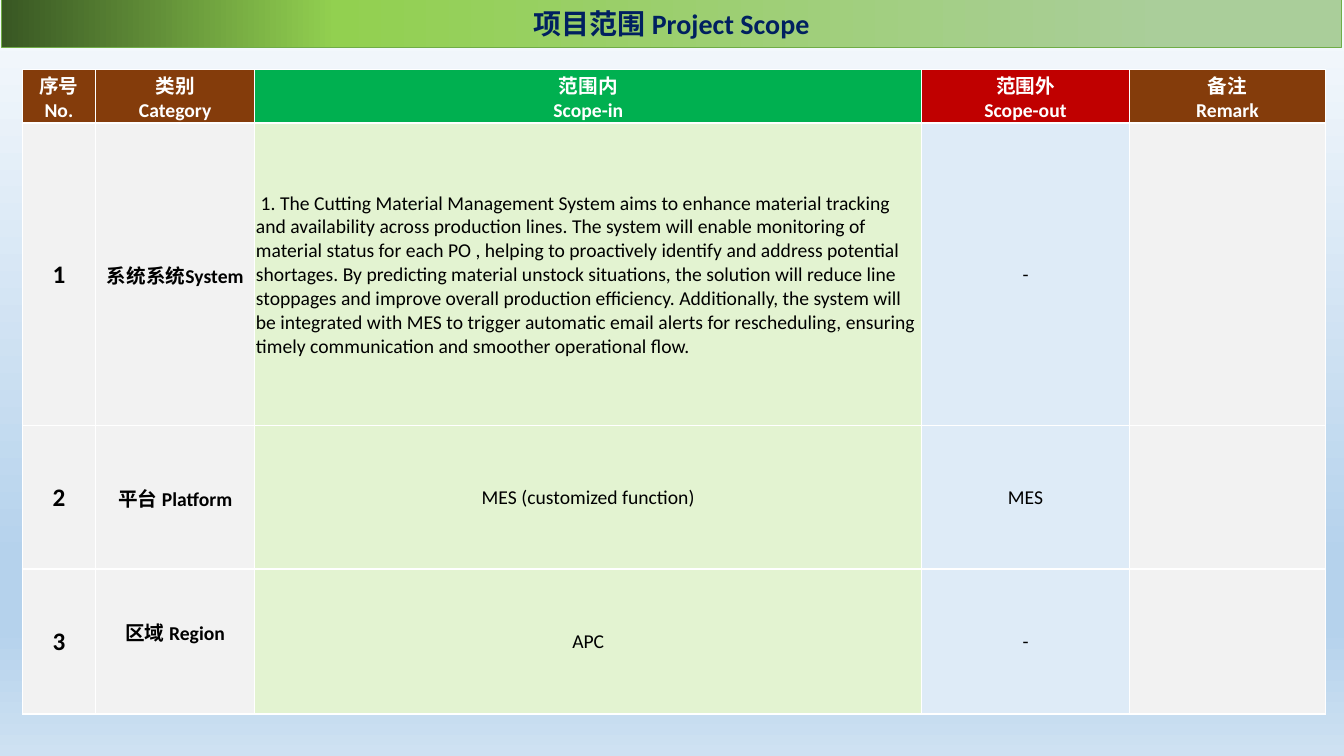
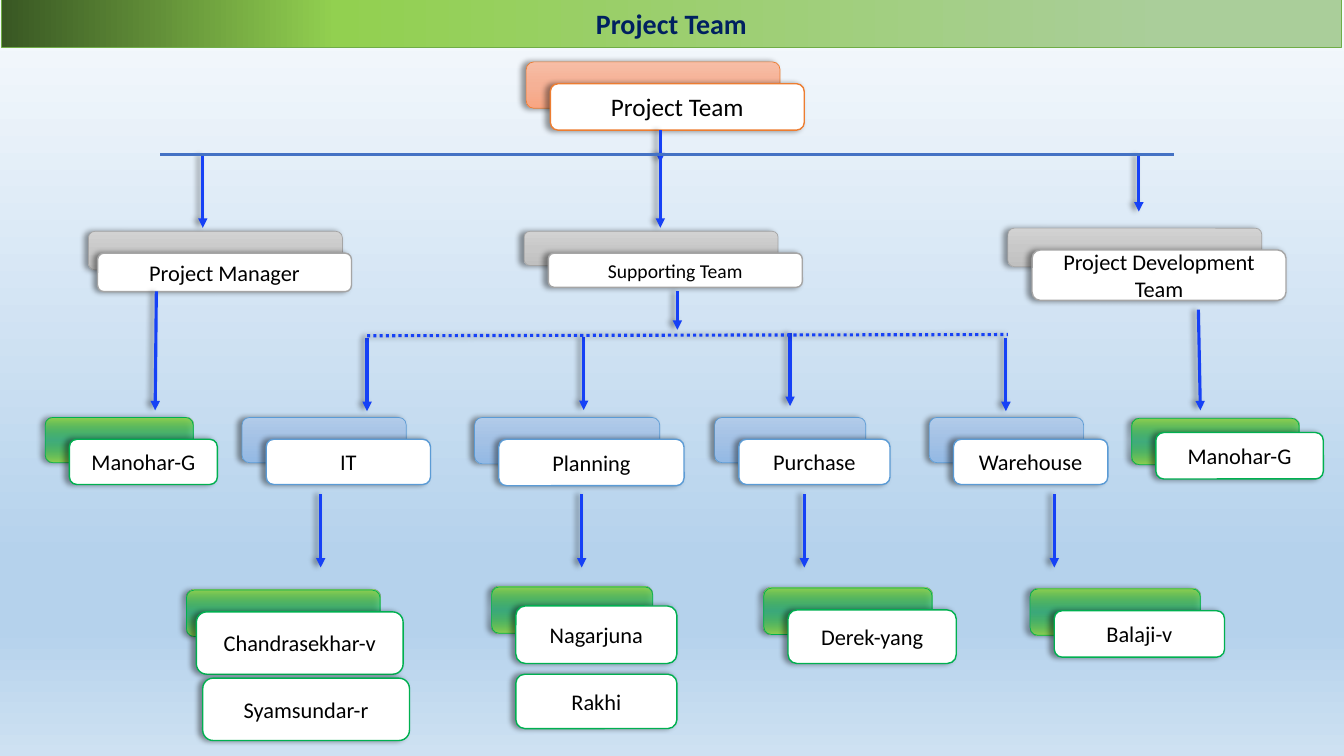
"""Build the project scope table and the project team chart."""
from dataclasses import dataclass

from lxml.etree import SubElement
from pptx import Presentation
from pptx.enum.dml import MSO_LINE
from pptx.enum.shapes import MSO_CONNECTOR, MSO_SHAPE
from pptx.enum.text import MSO_ANCHOR, PP_ALIGN
from pptx.dml.color import RGBColor
from pptx.oxml.ns import qn
from pptx.util import Cm, Pt

FONT = "Calibri"
BLACK, WHITE, NAVY = "000000", "FFFFFF", "002060"
ARROW_BLUE, BAR_BLUE = "1641F6", "4472C4"
BROWN, GREEN, RED = "843C0B", "00B050", "C00000"
GREY_CELL, GREEN_CELL, BLUE_CELL = "F2F2F2", "E3F3D1", "DEEBF7"
PAGE_STOPS = [(0, "F7FAFD"), (74, "B5D2EC"), (83, "B5D2EC"), (100, "CEE1F2")]
BAND_STOPS = [(13, "AACE9A"), (75, "92D050"), (100, "385723")]
PALETTES = {
    "orange": ("ED7D31", [(0, "F7BDA5"), (50, "F5B196"), (100, "F8A582")]),
    "grey": ("A5A5A5", [(0, "D2D2D2"), (50, "C8C8C8"), (100, "C0C0C0")]),
    "blue": ("5B9BD5", [(0, "B1CBE9"), (50, "A3C1E5"), (100, "93B9E4")]),
    "green": (GREEN, [(0, "92D050"), (50, GREEN, 56), (100, "92D050")]),
}

SCOPE_TEXT = (
    "1. The Cutting Material Management System aims to enhance material tracking and "
    "availability across production lines. The system will enable monitoring of material "
    "status for each PO , helping to proactively identify and address potential shortages. "
    "By predicting material unstock situations, the solution will reduce line stoppages and "
    "improve overall production efficiency. Additionally, the system will be integrated with "
    "MES to trigger automatic email alerts for rescheduling, ensuring timely communication "
    "and smoother operational flow."
)
SCOPE_ROWS = [
    ["序号\nNo.", "类别\nCategory", "范围内\nScope-in", "范围外\nScope-out", "备注\nRemark"],
    ["1", "系统系统System", SCOPE_TEXT, "-", ""],
    ["2", "平台 Platform", "MES (customized function)", "MES", ""],
    ["3", "区域 Region", "APC", "-", ""],
]
COLUMN_WIDTHS = [1.85, 4.01, 16.81, 5.23, 4.95]
ROW_HEIGHTS = [1.3, 7.62, 3.61, 3.66]
HEADER_FILLS = [BROWN, BROWN, GREEN, RED, BROWN]
BODY_FILLS = [GREY_CELL, GREY_CELL, GREEN_CELL, BLUE_CELL, GREY_CELL]


@dataclass
class Card:
    """A labelled box in cm, with the offset and size of the plate behind it."""
    label: str
    palette: str
    left: float
    top: float
    width: float
    height: float
    shift: tuple = (0.61, 0.55)
    plate: tuple = None
    size: int = 16


CARDS = [
    Card("Project Team", "orange", 13.87, 2.11, 6.4, 1.17, size=18),
    Card("Project Manager", "grey", 2.46, 6.38, 6.4, 0.97, shift=(0.23, 0.55)),
    Card("Supporting Team", "grey", 13.82, 6.38, 6.4, 0.86, size=14),
    Card("Project Development Team", "grey", 26.01, 6.3, 6.4, 1.27, plate=(6.4, 0.97)),
    Card("Manohar-G", "green", 1.75, 11.07, 3.73, 1.14),
    Card("IT", "blue", 6.71, 11.07, 4.14, 1.14),
    Card("Planning", "blue", 12.57, 11.07, 4.67, 1.17),
    Card("Purchase", "blue", 18.62, 11.07, 3.81, 1.14),
    Card("Warehouse", "blue", 24.03, 11.07, 3.89, 1.14),
    Card("Manohar-G", "green", 29.13, 10.9, 4.22, 1.17, shift=(0.61, 0.36)),
    Card("Chandrasekhar-v", "green", 4.95, 15.42, 5.21, 1.57, (0.25, 0.55), (4.88, 1.17)),
    Card("Nagarjuna", "green", 13, 15.27, 4.06, 1.45, (0.61, 0.48), (4.06, 1.17)),
    Card("Derek-yang", "green", 19.86, 15.37, 4.24, 1.35, plate=(4.24, 1.17)),
    Card("Balaji-v", "green", 26.57, 15.39, 4.29, 1.17),
    Card("Rakhi", "green", 13, 16.99, 4.06, 1.37, shift=None),
    Card("Syamsundar-r", "green", 5.11, 17.09, 5.21, 1.57, shift=None),
]
TEAM_ARROWS = [(5.11, 5.74), (16.64, 5.74), (28.7, 5.33)]
DEPARTMENT_ARROWS = [(9.25, 8.51), (14.71, 8.48), (19.91, 8.38), (25.35, 8.51)]
STAFF_ARROWS = [8.08, 14.66, 20.27, 26.57]
SINGLE_ARROWS = [
    (16.64, 3.28, 16.64, 4.09),
    (3.94, 7.34, 3.91, 10.34),
    (30.2, 7.8, 30.25, 10.34),
    (17.07, 7.34, 17.07, 8.31),
]


def paint(fill, color):
    """Give a shape, line, cell or font fill one solid colour."""
    fill.solid()
    fill.fore_color.rgb = RGBColor.from_string(color)


def paint_gradient(fill, element, stops, angle):
    """Give a fill a linear gradient of (position, colour, optional alpha) stops."""
    fill.gradient()
    gradient = next(element.iter(qn("a:gradFill")))
    stop_list = gradient.find(qn("a:gsLst"))
    for stop in list(stop_list):
        stop_list.remove(stop)
    for position, color, *alpha in stops:
        stop = SubElement(stop_list, qn("a:gs"), pos=str(position * 1000))
        tint = SubElement(stop, qn("a:srgbClr"), val=color)
        for value in alpha:
            SubElement(tint, qn("a:alpha"), val=str(value * 1000))
    gradient.find(qn("a:lin")).set("ang", str(angle * 60000))


def add_effects(shape, shadow=True):
    """Replace the inherited effects, with a soft shadow to the left or none."""
    effects = SubElement(shape.element.spPr, qn("a:effectLst"))
    if shadow:
        outer = SubElement(effects, qn("a:outerShdw"), blurRad=str(Pt(4)), dist=str(Pt(3)),
                           dir=str(180 * 60000), algn="r", rotWithShape="0")
        black = SubElement(outer, qn("a:srgbClr"), val=BLACK)
        SubElement(black, qn("a:alpha"), val="40000")


def write(frame, text, size, color, bold=False, align=PP_ALIGN.CENTER):
    """Fill a text frame and format all its runs alike."""
    frame.text = text
    for para in frame.paragraphs:
        para.alignment = align
        for span in para.runs:
            span.font.name = FONT
            span.font.size = Pt(size)
            span.font.bold = bold
            paint(span.font.fill, color)


def add_page(deck, heading):
    """Add a slide with the shared background and title band."""
    page = deck.slides.add_slide(deck.slide_layouts[5])
    paint_gradient(page.background.fill, page.element, PAGE_STOPS, 90)
    band = page.shapes.title
    band.left, band.top, band.width, band.height = Cm(0.03), Cm(-0.03), Cm(33.78), Cm(1.22)
    paint_gradient(band.fill, band.element, BAND_STOPS, 180)
    paint(band.line.fill, "70AD47")
    band.line.width = Pt(0.5)
    write(band.text_frame, heading, 20, NAVY, bold=True)
    band.text_frame.vertical_anchor = MSO_ANCHOR.MIDDLE
    return page


def format_cell(cell, text, fill, size, color, bold):
    """Set the borders, fill, margins and text of one table cell."""
    properties = cell._tc.get_or_add_tcPr()
    for side, width in (("L", 1), ("R", 1), ("T", 1.5), ("B", 1.5)):
        border = SubElement(properties, qn(f"a:ln{side}"), w=str(Pt(width)))
        SubElement(SubElement(border, qn("a:solidFill")), qn("a:srgbClr"), val=WHITE)
    paint(cell.fill, fill)
    cell.margin_left = cell.margin_right = cell.margin_top = Cm(0.03)
    cell.margin_bottom = 0
    cell.vertical_anchor = MSO_ANCHOR.MIDDLE
    write(cell.text_frame, text, size, color, bold)


def add_scope_table(page, left, top):
    """Place the scope table with its upper left corner at the given point in cm."""
    frame = page.shapes.add_table(
        len(ROW_HEIGHTS), len(COLUMN_WIDTHS), Cm(left), Cm(top),
        Cm(sum(COLUMN_WIDTHS)), Cm(sum(ROW_HEIGHTS)))
    table = frame.table
    for column, width in zip(table.columns, COLUMN_WIDTHS):
        column.width = Cm(width)
    for row, height in zip(table.rows, ROW_HEIGHTS):
        row.height = Cm(height)
    for i, texts in enumerate(SCOPE_ROWS):
        fills = BODY_FILLS if i else HEADER_FILLS
        for j, (text, fill) in enumerate(zip(texts, fills)):
            size = 18 if i and j == 0 else 14
            format_cell(table.cell(i, j), text, fill, size,
                        BLACK if i else WHITE, bold=i == 0 or j < 2)
    description = table.cell(1, 2).text_frame.paragraphs[0]
    description.alignment = PP_ALIGN.LEFT
    description._p.get_or_add_pPr().set("indent", str(Cm(0.12)))
    table.cell(3, 1).margin_bottom = Cm(0.5)


def add_plate(page, left, top, width, height, outline, weight):
    """Add a rounded rectangle in cm with the given outline."""
    plate = page.shapes.add_shape(
        MSO_SHAPE.ROUNDED_RECTANGLE, Cm(left), Cm(top), Cm(width), Cm(height))
    paint(plate.line.fill, outline)
    plate.line.width = Pt(weight)
    return plate


def add_card(page, card):
    """Draw a card: the tinted plate behind, then the white labelled front."""
    outline, stops = PALETTES[card.palette]
    if card.shift:
        across, up = card.shift
        width, height = card.plate or (card.width, card.height)
        back = add_plate(page, card.left - across, card.top - up, width, height, outline, 0.5)
        paint_gradient(back.fill, back.element, stops, 90)
        add_effects(back)
    front = add_plate(page, card.left, card.top, card.width, card.height, outline, 1)
    paint(front.fill, WHITE)
    add_effects(front)
    frame = front.text_frame
    frame.word_wrap = True
    frame.vertical_anchor = MSO_ANCHOR.MIDDLE
    write(frame, card.label, card.size, BLACK)


def add_line(page, x1, y1, x2, y2, color=ARROW_BLUE, arrow=True, dash=None, shadow=True):
    """Draw a straight line in cm, by default an arrow with a shadow."""
    line = page.shapes.add_connector(MSO_CONNECTOR.STRAIGHT, Cm(x1), Cm(y1), Cm(x2), Cm(y2))
    paint(line.line.fill, color)
    line.line.width = Pt(2.25)
    if dash:
        line.line.dash_style = dash
    if arrow:
        SubElement(line.line._get_or_add_ln(), qn("a:tailEnd"), type="triangle")
    add_effects(line, shadow)


def add_team_chart(page):
    """Place the cards, the two rails and the arrows between the levels."""
    for card in CARDS:
        add_card(page, card)
    arrows = SINGLE_ARROWS + [(x, 3.89, x, end) for x, end in TEAM_ARROWS]
    arrows += [(x, start, x, start + 1.85) for x, start in DEPARTMENT_ARROWS]
    arrows += [(x, 12.45, x, 14.3) for x in STAFF_ARROWS]
    for ends in arrows:
        add_line(page, *ends)
    add_line(page, 9.25, 8.46, 25.4, 8.43, arrow=False, dash=MSO_LINE.ROUND_DOT)
    add_line(page, 4.04, 3.89, 29.59, 3.89, BAR_BLUE, arrow=False, shadow=False)


def main():
    """Build and save the deck."""
    deck = Presentation()
    deck.slide_width, deck.slide_height = Cm(33.87), Cm(19.05)
    add_scope_table(add_page(deck, "项目范围 Project Scope"), 0.56, 1.75)
    add_team_chart(add_page(deck, "Project Team"))
    deck.save("out.pptx")


if __name__ == "__main__":
    main()
